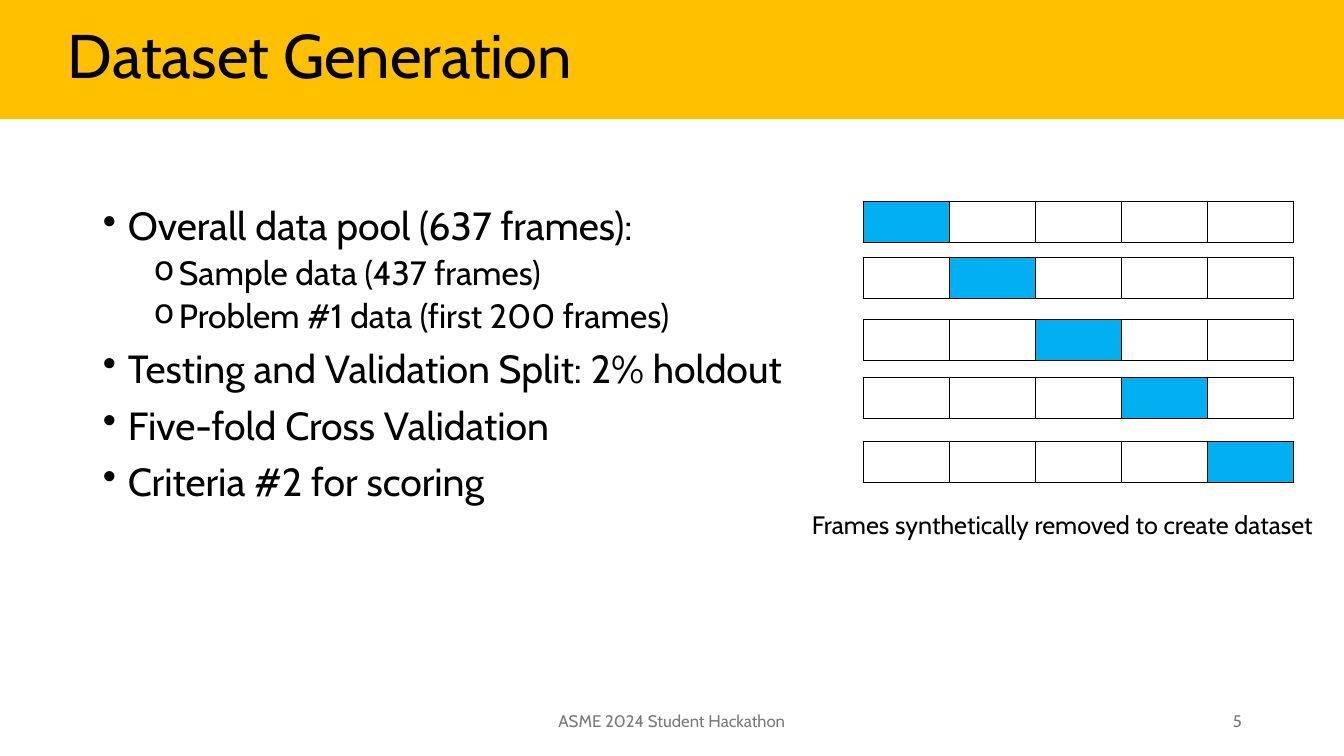
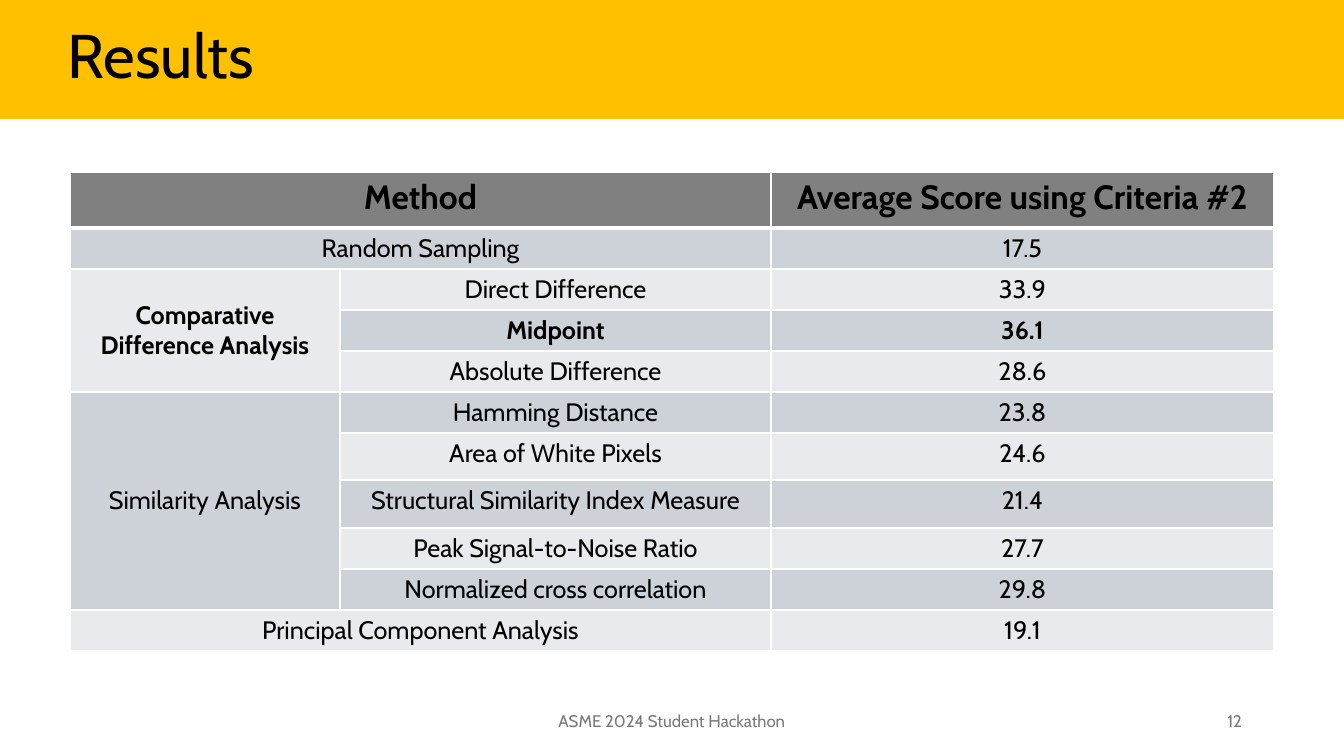
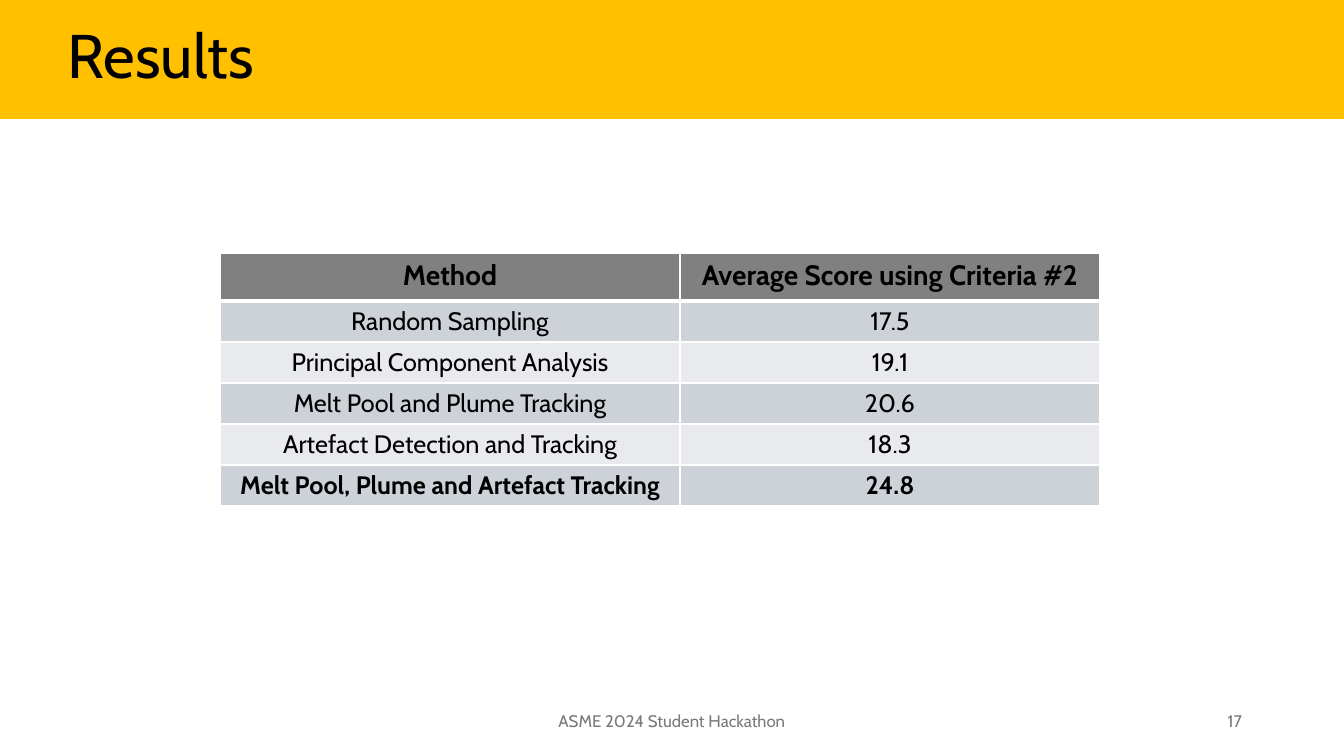
from lxml.etree import SubElement
from pptx import Presentation
from pptx.dml.color import RGBColor
from pptx.enum.shapes import MSO_SHAPE
from pptx.enum.text import MSO_ANCHOR, PP_ALIGN
from pptx.oxml.ns import qn
from pptx.util import Pt

# Shared look
PX = 914400 / 100.8
SLIDE_W, SLIDE_H, BAND_H = 1344, 756, 118
FONT = "Cabin"
COLORS = {"band": "FFC000", "text": "000000", "footer": "797979", "header": "808080",
          "odd": "CCD2D8", "even": "E8EAED", "white": "FFFFFF", "held out": "00B0F0"}
FOOTER = "ASME 2024 Student Hackathon"

# Dataset slide
BULLETS = [
    (0, "Overall data pool (637 frames):"),
    (1, "Sample data (437 frames)"),
    (1, "Problem #1 data (first 200 frames)"),
    (0, "Testing and Validation Split: 2% holdout"),
    (0, "Five-fold Cross Validation"),
    (0, "Criteria #2 for scoring"),
]
LEVELS = [{"mark": "•", "indent": 25, "size": 28, "before": 10},
          {"mark": "o", "indent": 76, "size": 24, "before": 5}]
HANGING = 25
FOLD_TOPS = [201, 257, 320, 377, 441]
FOLD_LEFT, FOLD_CELL_W, FOLD_H = 864, 86, 41
CAPTION = "Frames synthetically removed to create dataset"

# Result slides
SCORE = "Average Score using Criteria #2"
DIFFERENCE_SCORES = {
    "left": 70, "top": 172, "header size": 24,
    "columns": [270, 431, 503],
    "heights": [56] + [41] * 5 + [47, 48] + [41] * 3,
    "rows": [
        ("Method", "", SCORE),
        ("Random Sampling", "", "17.5"),
        ("Comparative Difference Analysis", "Direct Difference", "33.9"),
        ("", "Midpoint", "36.1"),
        ("", "Absolute Difference", "28.6"),
        ("Similarity Analysis", "Hamming Distance", "23.8"),
        ("", "Area of White Pixels", "24.6"),
        ("", "Structural Similarity Index Measure", "21.4"),
        ("", "Peak Signal-to-Noise Ratio", "27.7"),
        ("", "Normalized cross correlation", "29.8"),
        ("Principal Component Analysis", "", "19.1"),
    ],
    "merges": [(0, 0, 0, 1), (1, 0, 1, 1), (2, 0, 4, 0), (5, 0, 9, 0), (10, 0, 10, 1)],
    "bold": {"Comparative Difference Analysis", "Midpoint", "36.1"},
}
TRACKING_SCORES = {
    "left": 220, "top": 253, "header size": 20,
    "columns": [460, 420],
    "heights": [48] + [41] * 5,
    "rows": [
        ("Method", SCORE),
        ("Random Sampling", "17.5"),
        ("Principal Component Analysis", "19.1"),
        ("Melt Pool and Plume Tracking", "20.6"),
        ("Artefact Detection and Tracking", "18.3"),
        ("Melt Pool, Plume and Artefact Tracking", "24.8"),
    ],
    "merges": [],
    "bold": {"Melt Pool, Plume and Artefact Tracking", "24.8"},
}


def px(length):
    return round(length * PX)


def rgb(name):
    return RGBColor.from_string(COLORS[name])


def write(paragraph, text, size, color="text", bold=False, **layout):
    run = paragraph.add_run()
    run.text = text
    for key, value in {"name": FONT, "size": Pt(size), "bold": bold}.items():
        setattr(run.font, key, value)
    run.font.color.rgb = rgb(color)
    for key, value in layout.items():
        setattr(paragraph, key, value)


def add_frame(slide, box, anchor=MSO_ANCHOR.TOP):
    frame = slide.shapes.add_textbox(*map(px, box)).text_frame
    frame.word_wrap = True
    frame.vertical_anchor = anchor
    return frame


def add_slide(deck, title, number):
    slide = deck.slides.add_slide(deck.slide_layouts[6])
    band = slide.shapes.add_shape(MSO_SHAPE.RECTANGLE, 0, 0, px(SLIDE_W), px(BAND_H))
    band.shadow.inherit = False
    band.fill.solid()
    band.fill.fore_color.rgb = band.line.color.rgb = rgb("band")
    band.line.width = Pt(1.5)
    for box, text, size, color, layout in [
        ((58, 0, 1286, BAND_H), title, 44, "text", {"line_spacing": 0.9}),
        ((445, 701, 454, 40), FOOTER, 12, "footer", {"alignment": PP_ALIGN.CENTER}),
        ((950, 701, 302, 40), str(number), 12, "footer", {"alignment": PP_ALIGN.RIGHT}),
    ]:
        frame = add_frame(slide, box, MSO_ANCHOR.MIDDLE)
        write(frame.paragraphs[0], text, size, color, **layout)
    return slide


def add_bullets(slide):
    frame = add_frame(slide, (93, 202, 1159, 480))
    for i, (depth, text) in enumerate(BULLETS):
        level = LEVELS[depth]
        paragraph = frame.add_paragraph() if i else frame.paragraphs[0]
        properties = paragraph._p.get_or_add_pPr()
        properties.set("marL", str(px(level["indent"])))
        properties.set("indent", str(-px(HANGING)))
        SubElement(properties, qn("a:buChar"), char=level["mark"])
        write(paragraph, text, level["size"], level=depth, line_spacing=0.9,
              space_before=Pt(level["before"] if i else 0))


def add_grid(slide, left, top, columns, heights):
    grid = slide.shapes.add_table(len(heights), len(columns), px(left), px(top),
                                  px(sum(columns)), px(sum(heights))).table
    grid.first_row = grid.horz_banding = False
    for column, width in zip(grid.columns, columns):
        column.width = px(width)
    for row, height in zip(grid.rows, heights):
        row.height = px(height)
    return grid


def paint_cell(cell, fill, border, width, **sides):
    properties = cell._tc.get_or_add_tcPr()
    for side in "LRTB":
        line = SubElement(properties, qn(f"a:ln{side}"), w=str(Pt(sides.get(side, width))))
        SubElement(SubElement(line, qn("a:solidFill")), qn("a:srgbClr"), val=COLORS[border])
    cell.fill.solid()
    cell.fill.fore_color.rgb = rgb(fill)


def add_folds(slide):
    count = len(FOLD_TOPS)
    for fold, top in enumerate(FOLD_TOPS):
        grid = add_grid(slide, FOLD_LEFT, top, [FOLD_CELL_W] * count, [FOLD_H])
        for part in range(count):
            paint_cell(grid.cell(0, part), "held out" if part == fold else "white", "text", 0.78)


def add_scores(slide, scores):
    grid = add_grid(slide, scores["left"], scores["top"], scores["columns"], scores["heights"])
    for r, row in enumerate(scores["rows"]):
        fill = "header" if r == 0 else "odd" if r % 2 else "even"
        # Thick rule between the header and the first row
        rule = {0: {"B": 3}, 1: {"T": 3}}.get(r, {})
        for c, text in enumerate(row):
            cell = grid.cell(r, c)
            paint_cell(cell, fill, "white", 1, **rule)
            if text:
                write(cell.text_frame.paragraphs[0], text,
                      18 if r else scores["header size"],
                      bold=r == 0 or text in scores["bold"], alignment=PP_ALIGN.CENTER)
    for top, left, bottom, right in scores["merges"]:
        merged = grid.cell(top, left)
        merged.merge(grid.cell(bottom, right))
        if bottom > top:
            merged.vertical_anchor = MSO_ANCHOR.MIDDLE


def main():
    deck = Presentation()
    deck.slide_width, deck.slide_height = px(SLIDE_W), px(SLIDE_H)

    dataset = add_slide(deck, "Dataset Generation", 5)
    add_bullets(dataset)
    add_folds(dataset)
    write(add_frame(dataset, (802, 504, 540, 40)).paragraphs[0], CAPTION, 18)

    for number, scores in [(12, DIFFERENCE_SCORES), (17, TRACKING_SCORES)]:
        add_scores(add_slide(deck, "Results", number), scores)

    deck.save("out.pptx")


if __name__ == "__main__":
    main()
